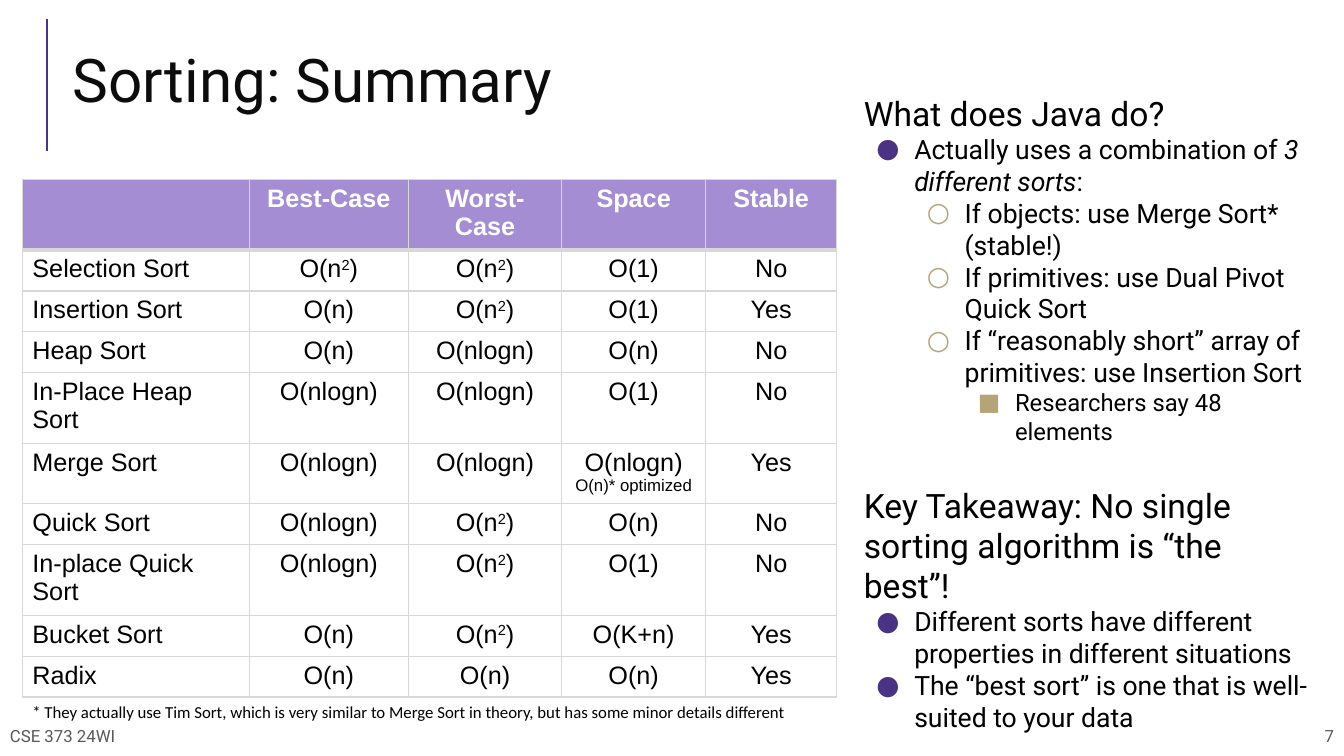
from lxml.etree import SubElement
from pptx import Presentation
from pptx.dml.color import RGBColor
from pptx.enum.shapes import MSO_CONNECTOR
from pptx.enum.text import MSO_ANCHOR, PP_ALIGN
from pptx.oxml.ns import qn
from pptx.util import Pt

PURPLE, GOLD, GRAY, LILAC = "4C3282", "B6A479", "D8D8D8", "A48DD3"
COLUMNS = [162, 113.76, 109.44, 102.96, 93.6]
ROW_HEIGHT = 29.2
SORTS = [
    ["", "Best-Case", "Worst-Case", "Space", "Stable"],
    ["Selection Sort", "O(n^2)", "O(n^2)", "O(1)", "No"],
    ["Insertion Sort", "O(n)", "O(n^2)", "O(1)", "Yes"],
    ["Heap Sort", "O(n)", "O(nlogn)", "O(n)", "No"],
    ["In-Place Heap Sort", "O(nlogn)", "O(nlogn)", "O(1)", "No"],
    ["Merge Sort", "O(nlogn)", "O(nlogn)", "O(nlogn)\nO(n)* optimized", "Yes"],
    ["Quick Sort", "O(nlogn)", "O(n^2)", "O(n)", "No"],
    ["In-place Quick Sort", "O(nlogn)", "O(n^2)", "O(1)", "No"],
    ["Bucket Sort", "O(n)", "O(n^2)", "O(K+n)", "Yes"],
    ["Radix", "O(n)", "O(n)", "O(n)", "Yes"],
]
LEVELS = [
    (24, 0, 0, None, None),
    (19, 36, 27, "●", PURPLE),
    (19, 72, 27, "○", GOLD),
    (17, 108, 26.5, "■", GOLD),
]
POINTS = [
    (0, ["What does Java do?"]),
    (1, ["Actually uses a combination of ", "3 different sorts", ":"]),
    (2, ["If objects: use Merge Sort* (stable!)"]),
    (2, ["If primitives: use Dual Pivot Quick Sort"]),
    (2, ["If “reasonably short” array of primitives: use Insertion Sort"]),
    (3, ["Researchers say 48 elements"]),
    (0, ["Key Takeaway: No single sorting algorithm is “the best”!"]),
    (1, ["Different sorts have different properties in different situations"]),
    (1, ["The “best sort” is one that is well-suited to your data"]),
]


def rgb(color):
    """Turn a hex string into a colour."""
    return RGBColor.from_string(color)


def style(r, size, name, color, bold=False, italic=False):
    """Set the font of a run."""
    f = r.font
    f.size, f.name, f.bold, f.italic = Pt(size), name, bold, italic
    f.color.rgb = rgb(color)


def add_frame(s, x, y, w, h, anchor=MSO_ANCHOR.TOP):
    """Add a wrapping text box and return its text frame."""
    tf = s.shapes.add_textbox(Pt(x), Pt(y), Pt(w), Pt(h)).text_frame
    tf.word_wrap, tf.vertical_anchor = True, anchor
    return tf


def add_line_of_text(s, box, text, size, name, color,
                     anchor=MSO_ANCHOR.MIDDLE, align=PP_ALIGN.LEFT):
    """Add a box with one paragraph of text."""
    tf = add_frame(s, *box, anchor)
    tf.text = text
    p = tf.paragraphs[0]
    p.alignment = align
    style(p.runs[0], size, name, color)
    return p


def add_title(s, x, y, w, h):
    """Add the title with the upright rule to its left."""
    rule = s.shapes.add_connector(MSO_CONNECTOR.STRAIGHT, Pt(x), Pt(y), Pt(x), Pt(y + h))
    rule.line.color.rgb = rgb(PURPLE)
    rule.line.width = Pt(1.5)
    SubElement(rule._element.spPr, qn("a:effectLst"))
    p = add_line_of_text(s, (x + 11.5, y + 7, w, 80), "Sorting: Summary", 43, "Roboto", "0C0C0C")
    p.line_spacing = 0.8


def set_borders(cell, top, bottom):
    """Draw the four borders of a table cell."""
    tcPr = cell._tc.get_or_add_tcPr()
    for side, width in (("L", 1), ("R", 1), ("T", top), ("B", bottom)):
        ln = SubElement(tcPr, qn(f"a:ln{side}"), w=str(Pt(width)))
        SubElement(SubElement(ln, qn("a:solidFill")), qn("a:srgbClr"), val=GRAY)


def fill_cell(cell, text, row, col):
    """Write and format one table cell."""
    header = row == 0
    set_borders(cell, 3 if row == 1 else 1, 3 if header else 1)
    cell.fill.solid()
    cell.fill.fore_color.rgb = rgb(LILAC if header else "FFFFFF")
    tf = cell.text_frame
    tf.text = text.replace("^2", "")
    if "^2" in text:
        base, _, rest = text.partition("^2")
        p = tf.paragraphs[0]
        p.text = base
        power = p.add_run()
        power.text = "2"
        power._r.get_or_add_rPr().set("baseline", "30000")
        p.add_run().text = rest
    for i, p in enumerate(tf.paragraphs):
        p.alignment = PP_ALIGN.CENTER if col else PP_ALIGN.LEFT
        for r in p.runs:
            style(r, 12 if i else 18, "Arial", "FFFFFF" if header else "000000", header)


def add_sort_table(s, x, y):
    """Add the table that compares the sorts."""
    table = s.shapes.add_table(len(SORTS), len(COLUMNS), Pt(x), Pt(y), Pt(sum(COLUMNS)),
                               Pt(ROW_HEIGHT * len(SORTS))).table
    table.horz_banding = False
    for column, width in zip(table.columns, COLUMNS):
        column.width = Pt(width)
    for i, values in enumerate(SORTS):
        table.rows[i].height = Pt(ROW_HEIGHT)
        for j, text in enumerate(values):
            fill_cell(table.cell(i, j), text, i, j)


def add_bullet(p, margin, hang, char, color):
    """Give a paragraph its indent and bullet."""
    pPr = p._p.get_or_add_pPr()
    pPr.set("marL", str(Pt(margin)))
    pPr.set("indent", str(-Pt(hang)))
    SubElement(SubElement(pPr, qn("a:buClr")), qn("a:srgbClr"), val=color)
    SubElement(pPr, qn("a:buFont"), typeface="Roboto")
    SubElement(pPr, qn("a:buChar"), char=char)


def add_points(s, x, y, w, h):
    """Add the notes on Java and the key takeaway."""
    tf = add_frame(s, x, y, w, h)
    for i, (level, parts) in enumerate(POINTS):
        p = tf.add_paragraph() if i else tf.paragraphs[0]
        size, margin, hang, char, color = LEVELS[level]
        if i and level == 0:
            p.space_before = Pt(28)
        if char:
            p.level = level - 1
            add_bullet(p, margin, hang, char, color)
        for k, text in enumerate(parts):
            r = p.add_run()
            r.text = text
            style(r, size, "Roboto", "000000", italic=k == 1)


def add_footer(s, x, y, w, h):
    """Add the course name and the slide number."""
    half = 337
    add_line_of_text(s, (x, y, half, h), "CSE 373 24WI", 12, "Roboto", "595959")
    add_line_of_text(s, (x + w - half, y, half, h), "7", 12, "Roboto", "595959",
                     align=PP_ALIGN.RIGHT)


def main():
    """Build the slide and save it."""
    prs = Presentation()
    prs.slide_width, prs.slide_height = Pt(960), Pt(540)
    s = prs.slides.add_slide(prs.slide_layouts[6])
    add_footer(s, 0, 511, 960, 29)
    add_title(s, 33.5, 13.75, 880, 94)
    add_sort_table(s, 16, 128.2)
    add_points(s, 610, 62.5, 335, 469)
    add_line_of_text(s, (16, 497.5, 559, 22), "* They actually use Tim Sort, which is very similar to "
                     "Merge Sort in theory, but has some minor details different",
                     12, "Calibri", "000000", MSO_ANCHOR.TOP)
    prs.save("out.pptx")


if __name__ == "__main__":
    main()
